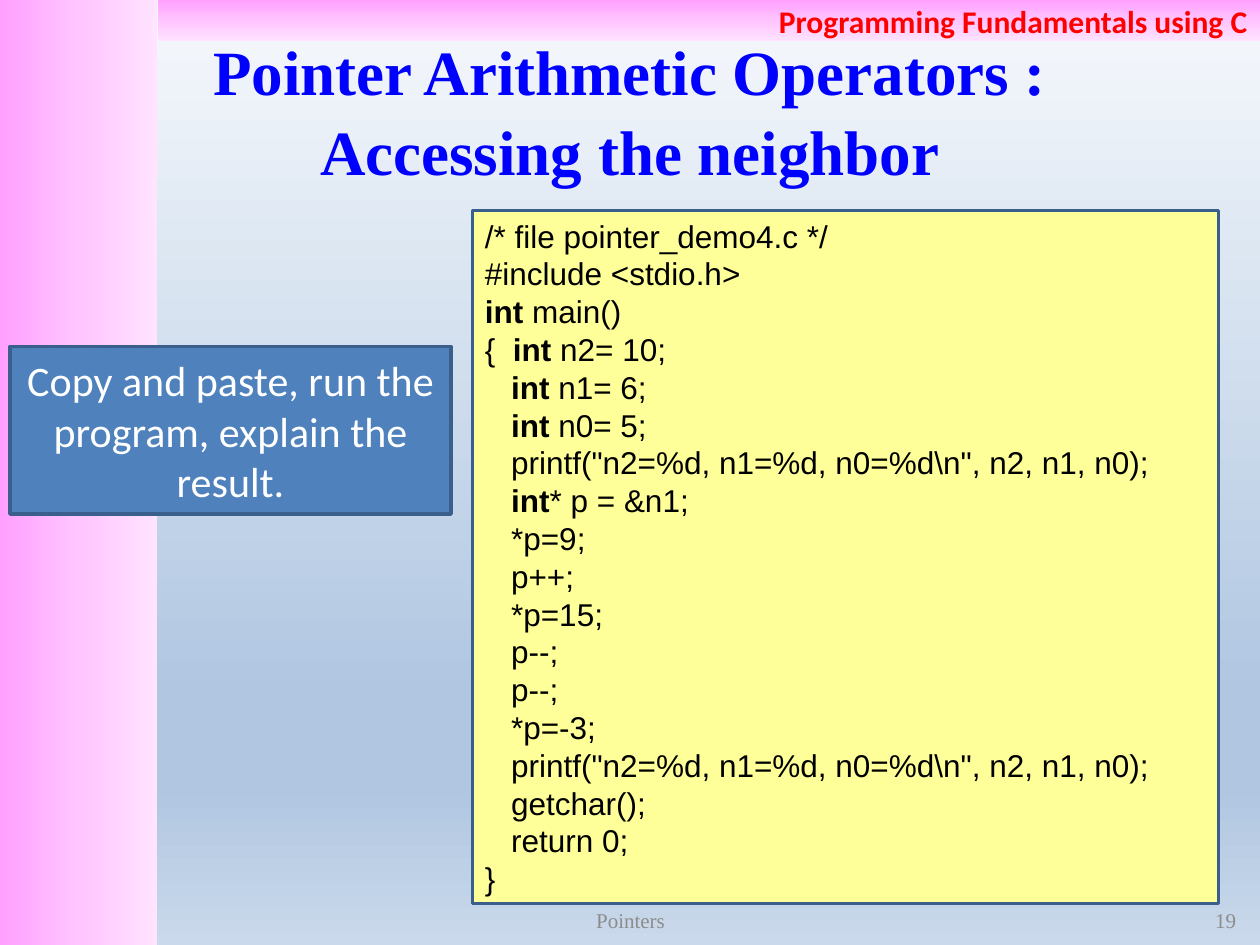
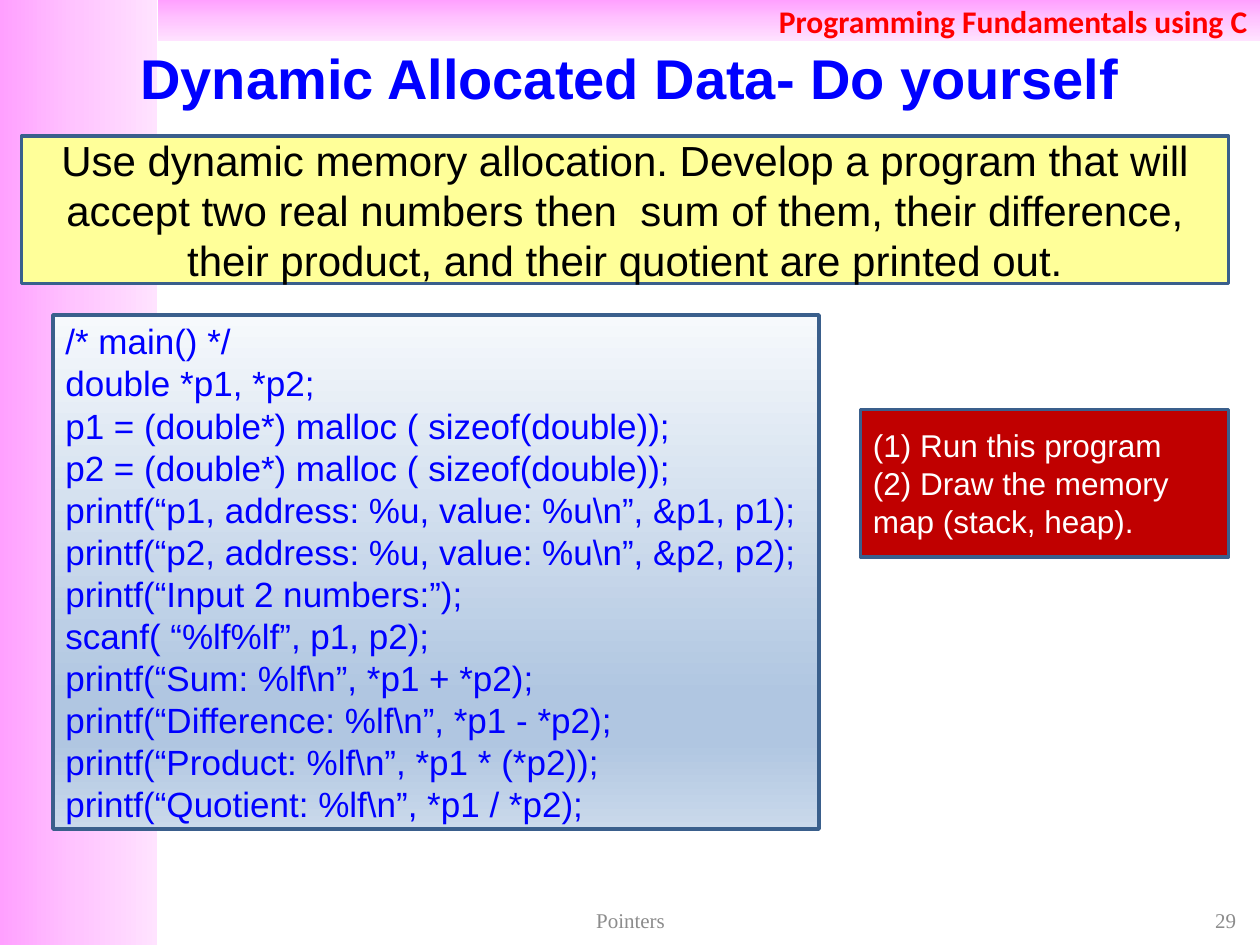
from lxml import etree
from pptx import Presentation
from pptx import util as u
from pptx.dml.color import RGBColor
from pptx.enum import shapes, text
from pptx.oxml.ns import qn

COLOURS = {
    "blue": "0000FF", "red": "FF0000", "black": "000000", "white": "FFFFFF",
    "grey": "8C8C8C", "steel": "4F81BD", "edge": "3A5F8C",
    "yellow": "FFFF99", "crimson": "C00000",
}
PINK = [(0, "FFA0FF"), (50, "FFC5FF"), (100, "FFE3FF")]
SKY = [(0, "F6F9FC"), (74, "B0C6E1"), (83, "B0C6E1"), (100, "CAD9EB")]
ALIGN = {"left": text.PP_ALIGN.LEFT, "center": text.PP_ALIGN.CENTER,
         "right": text.PP_ALIGN.RIGHT}


def paint(fill, element, paint_value, angle=90):
    """Fill with a named colour or, given a list of stops, a linear gradient."""
    if isinstance(paint_value, str):
        fill.solid()
        fill.fore_color.rgb = RGBColor.from_string(COLOURS[paint_value])
        return
    fill.gradient()
    gradient = element.find(".//" + qn("a:gradFill"))
    stops = gradient.find(qn("a:gsLst"))
    for stop in list(stops):
        stops.remove(stop)
    for position, colour in paint_value:
        stop = etree.SubElement(stops, qn("a:gs"), pos=str(position * 1000))
        etree.SubElement(stop, qn("a:srgbClr"), val=colour)
    gradient.find(qn("a:lin")).set("ang", str(angle * 60000))


def write(box, lines, font, size, colour, align="left", bold=False):
    """Write one paragraph per line; a leading C keyword int is bold."""
    frame = box.text_frame
    frame.word_wrap = True
    frame.auto_size = text.MSO_AUTO_SIZE.NONE
    frame.vertical_anchor = text.MSO_ANCHOR.MIDDLE
    for number, line in enumerate(lines):
        para = frame.paragraphs[0] if number == 0 else frame.add_paragraph()
        para.alignment = ALIGN[align]
        pieces = [(line, bold)]
        if line.lstrip("{ ").startswith("int"):
            before, keyword, after = line.partition("int")
            pieces = [(before, False), (keyword, True), (after, False)]
        for words, strong in pieces:
            for row, part in enumerate(words.split("\n")):
                if row:
                    para.add_line_break()
                if not part:
                    continue
                span = para.add_run()
                span.text = part
                style = {"name": font, "size": u.Pt(size), "bold": strong}
                for key, value in style.items():
                    setattr(span.font, key, value)
                span.font.color.rgb = RGBColor.from_string(COLOURS[colour])
        if "\n" in line:
            para.line_spacing = 1.05
            for line_break in para._p.findall(qn("a:br")):
                etree.SubElement(line_break, qn("a:rPr"), sz=str(size * 100))


deck = Presentation()
deck.slide_width, deck.slide_height = u.Inches(10), u.Inches(7.5)
layout = deck.slide_layouts[5]

pages = [
    {
        "number": "19",
        "background": SKY,
        "title": ("Pointer Arithmetic Operators :\nAccessing the neighbor",
                  1.12, "Times New Roman", 36),
        "boxes": [
            ((0.08, 2.75, 3.5, 1.33), "steel",
             ["Copy and paste, run the program, explain the result."],
             ("Calibri", 24, "white", "center")),
            ((3.75, 1.67, 5.92, 5.5), "yellow",
             r'''/* file pointer_demo4.c */
#include <stdio.h>
int main()
{  int n2= 10;
   int n1= 6;
   int n0= 5;
   printf("n2=%d, n1=%d, n0=%d\n", n2, n1, n0);
   int* p = &n1;
   *p=9;
   p++;
   *p=15;
   p--;
   p--;
   *p=-3;
   printf("n2=%d, n1=%d, n0=%d\n", n2, n1, n0);
   getchar();
   return 0;
}'''.split("\n"),
             ("Arial", 18, "black")),
        ],
    },
    {
        "number": "29",
        "background": "white",
        "title": ("Dynamic Allocated Data- Do yourself", 0.62, "Arial", 32),
        "boxes": [
            ((0.17, 1.08, 9.58, 1.17), "yellow",
             ["Use dynamic memory allocation. Develop a program that will "
              "accept two real numbers then  sum of them, their difference, "
              "their product, and their quotient are printed out."],
             ("Arial", 24, "black", "center")),
            ((0.42, 2.5, 6.08, 4.08), SKY,
             r'''/* main() */
double *p1, *p2;
p1 = (double*) malloc ( sizeof(double));
p2 = (double*) malloc ( sizeof(double));
printf(“p1, address: %u, value: %u\n”, &p1, p1);
printf(“p2, address: %u, value: %u\n”, &p2, p2);
printf(“Input 2 numbers:”);
scanf( “%lf%lf”, p1, p2);
printf(“Sum: %lf\n”, *p1 + *p2);
printf(“Difference: %lf\n”, *p1 - *p2);
printf(“Product: %lf\n”, *p1 * (*p2));
printf(“Quotient: %lf\n”, *p1 / *p2);'''.split("\n"),
             ("Arial", 20, "blue")),
            ((6.83, 3.25, 2.92, 1.17), "crimson",
             ["(1) Run this program", "(2) Draw the memory map (stack, heap)."],
             ("Arial", 18, "white")),
        ],
    },
]

for index, content in enumerate(pages):
    page = deck.slides.add_slide(layout)

    # Pink bands, made once and kept on the shared layout
    if index == 0:
        for place, angle, label in [
            ((0, 0, 1.25, 7.5), 0, []),
            ((1.25, 0, 8.75, 0.33), 90, ["Programming Fundamentals using C"]),
        ]:
            band = page.shapes.add_shape(shapes.MSO_SHAPE.RECTANGLE,
                                         *map(u.Inches, place))
            band.shadow.inherit = False
            band.line.fill.background()
            paint(band.fill, band._element, PINK, angle)
            write(band, label, "Calibri", 18, "red", "right", True)
            layout.shapes._spTree.append(band._element)

    # Background and title
    paint(page.background.fill, page._element, content["background"])
    words, height, font, size = content["title"]
    title = page.shapes.title
    title.left, title.top = u.Inches(0), u.Inches(0.3)
    title.width, title.height = u.Inches(10), u.Inches(height)
    write(title, [words], font, size, "blue", "center", True)

    # Text and code boxes
    for place, colour, lines, style in content["boxes"]:
        box = page.shapes.add_shape(shapes.MSO_SHAPE.RECTANGLE,
                                    *map(u.Inches, place))
        box.shadow.inherit = False
        paint(box.fill, box._element, colour)
        box.line.color.rgb = RGBColor.from_string(COLOURS["edge"])
        box.line.width = u.Pt(2)
        write(box, lines, *style)

    # Footer and page number
    for left, width, words, align in [(3.42, 3.17, "Pointers", "center"),
                                      (7.58, 2.33, content["number"], "right")]:
        footer = page.shapes.add_textbox(*map(u.Inches, (left, 7.17, width, 0.27)))
        write(footer, [words], "Times New Roman", 12, "grey", align)

deck.save("out.pptx")
